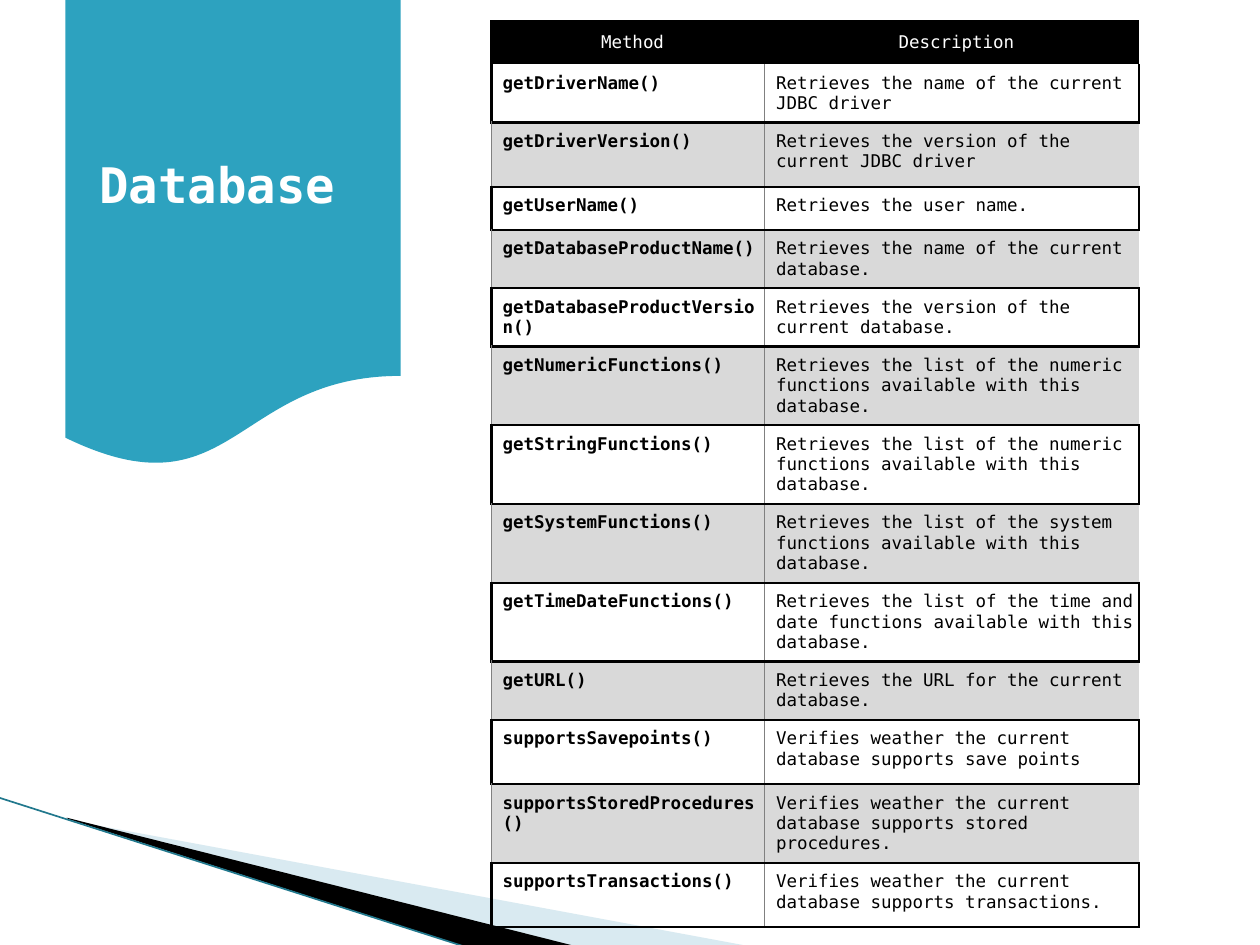
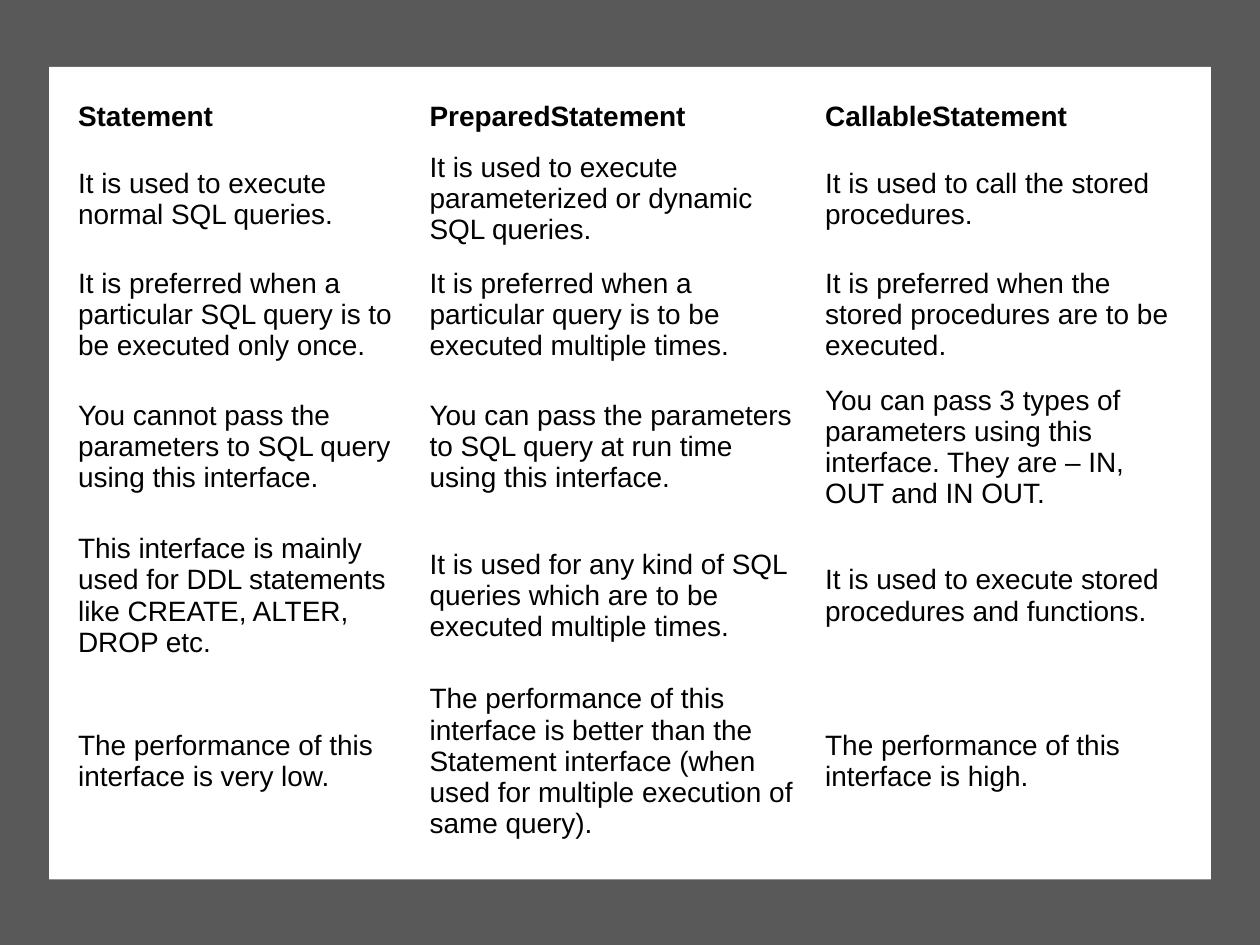
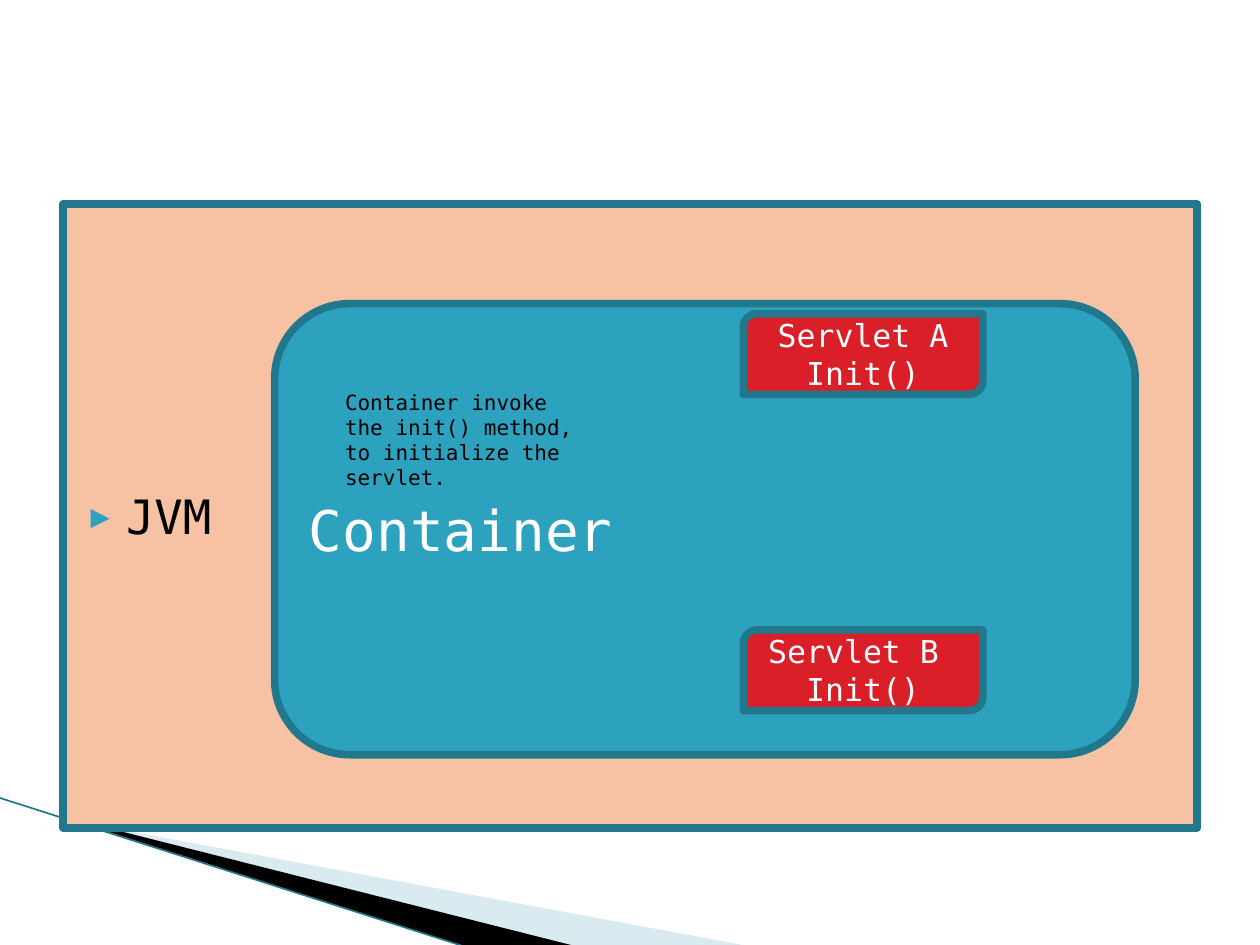
from dataclasses import dataclass

from lxml import etree
from pptx import Presentation
from pptx.dml.color import RGBColor
from pptx.enum.shapes import MSO_CONNECTOR, MSO_SHAPE
from pptx.enum.text import MSO_ANCHOR, MSO_AUTO_SIZE, PP_ALIGN
from pptx.oxml.ns import qn
from pptx.util import Inches, Pt

TOP, MIDDLE = MSO_ANCHOR.TOP, MSO_ANCHOR.MIDDLE
LEFT, CENTER = PP_ALIGN.LEFT, PP_ALIGN.CENTER
FIXED_SIZE, GROW = MSO_AUTO_SIZE.NONE, MSO_AUTO_SIZE.SHAPE_TO_FIT_TEXT
STRAIGHT = MSO_CONNECTOR.STRAIGHT
RECTANGLE, ROUNDED = MSO_SHAPE.RECTANGLE, MSO_SHAPE.ROUNDED_RECTANGLE
DIAGONAL, WAVE = MSO_SHAPE.ROUND_2_DIAG_RECTANGLE, MSO_SHAPE.FLOWCHART_DOCUMENT
CONTENT_LAYOUT, TITLE_LAYOUT, BLANK_LAYOUT = 1, 5, 6
NO_TABLE_STYLE = "{2D5ABB26-0587-4C30-8999-92F81FD0307C}"


@dataclass(frozen=True)
class Theme:
    # Colours
    black: str = "000000"
    white: str = "FFFFFF"
    teal: str = "2DA2BF"
    dark_teal: str = "21788D"
    pale_blue: str = "A0CBDC"
    peach: str = "F7C1A4"
    red: str = "DA1F28"
    dark_gray: str = "595959"
    band_gray: str = "D9D9D9"
    rule_gray: str = "808080"
    # Fonts and type sizes
    mono: str = "DejaVu Sans Mono"
    sans: str = "Arial"
    title: int = 28
    container: int = 32
    body: int = 27
    label: int = 18
    comparison: int = 16
    note: int = 12
    method: int = 10
    # Line widths
    outline: float = 4.33
    thick: float = 1.5
    thin: float = 0.5
    accent: float = 0.95


THEME = Theme()


def color(value):
    return RGBColor.from_string(value)


def box(left, top, width, height):
    return [Inches(value) for value in (left, top, width, height)]


def write(frame, text, *, size, ink=THEME.black, font=THEME.mono, bold=False,
          align=LEFT, anchor=TOP):
    """Write one paragraph per line of text and return the paragraphs."""
    frame.text = text
    frame.word_wrap = True
    frame.vertical_anchor = anchor
    for paragraph in frame.paragraphs:
        paragraph.alignment = align
        for run in paragraph.runs:
            run.font.name, run.font.size, run.font.bold = font, Pt(size), bold
            run.font.color.rgb = color(ink)
    return frame.paragraphs


def add_bullet(paragraph, character, ink, percent, left, hanging):
    properties = paragraph._p.get_or_add_pPr()
    properties.set("marL", str(Inches(left)))
    properties.set("indent", str(-Inches(hanging)))
    holder = etree.SubElement(properties, qn("a:buClr"))
    etree.SubElement(holder, qn("a:srgbClr"), val=ink)
    etree.SubElement(properties, qn("a:buSzPct"), val=str(percent * 1000))
    etree.SubElement(properties, qn("a:buFont"), typeface=THEME.mono)
    etree.SubElement(properties, qn("a:buChar"), char=character)


def set_borders(cell, borders):
    """Borders map L, R, T, B to (colour, width); they precede the cell fill."""
    properties = cell._tc.get_or_add_tcPr()
    sides = [side for side in "LRTB" if side in borders]
    for position, side in enumerate(sides):
        ink, width = borders[side]
        line = etree.Element(qn(f"a:ln{side}"), w=str(Pt(width)))
        fill = etree.SubElement(line, qn("a:solidFill"))
        etree.SubElement(fill, qn("a:srgbClr"), val=ink)
        properties.insert(position, line)


class Deck:
    def __init__(self, theme):
        self.theme = theme
        self.presentation = Presentation()
        self.presentation.slide_width = Inches(10)
        self.presentation.slide_height = Inches(7.5)
        self.slide = None

    def new_slide(self, layout):
        layouts = self.presentation.slide_layouts
        self.slide = self.presentation.slides.add_slide(layouts[layout])

    def paint(self, shape, fill, outline=None):
        shape.fill.solid()
        shape.fill.fore_color.rgb = color(fill)
        if outline:
            shape.line.color.rgb = color(outline)
            shape.line.width = Pt(self.theme.outline)
        else:
            shape.line.fill.background()

    def shape(self, kind, place, fill, outline=None):
        shape = self.slide.shapes.add_shape(kind, *box(*place))
        shape.shadow.inherit = False
        self.paint(shape, fill, outline)
        return shape

    def polygon(self, points, fill, opacity=None):
        start, *others = [(Inches(x), Inches(y)) for x, y in points]
        builder = self.slide.shapes.build_freeform(*start)
        builder.add_line_segments(others)
        shape = builder.convert_to_shape()
        shape.shadow.inherit = False
        self.paint(shape, fill)
        if opacity:
            solid = shape.element.spPr.find(qn("a:solidFill"))
            etree.SubElement(solid[0], qn("a:alpha"), val=str(opacity * 1000))
        return shape

    def line(self, start, end, ink, width):
        ends = [Inches(value) for value in (*start, *end)]
        connector = self.slide.shapes.add_connector(STRAIGHT, *ends)
        connector.line.color.rgb = color(ink)
        connector.line.width = Pt(width)
        etree.SubElement(connector.element.spPr, qn("a:effectLst"))
        return connector

    def move_to_master(self, shapes):
        tree = self.presentation.slide_master.shapes.element
        for number, shape in enumerate(shapes):
            shape.element.xpath(".//p:cNvPr")[0].set("id", str(100 + number))
            tree.insert(2 + number, shape.element)

    def place(self, placeholder, place):
        (placeholder.left, placeholder.top,
         placeholder.width, placeholder.height) = box(*place)
        placeholder.text_frame.auto_size = FIXED_SIZE
        return placeholder

    def title(self, text, place):
        title = self.place(self.slide.shapes.title, place)
        paragraph, = write(title.text_frame, text, size=self.theme.title,
                           ink=self.theme.white, bold=True, anchor=MIDDLE)
        paragraph.line_spacing = 0.9

    def body(self, text, place, fill, outline):
        body = self.place(self.slide.placeholders[1], place)
        self.paint(body, fill, outline)
        paragraph, = write(body.text_frame, text, size=self.theme.body, anchor=MIDDLE)
        paragraph.space_before = Pt(4)
        add_bullet(paragraph, "▶", self.theme.teal, 68, left=0.4, hanging=0.28)

    def note(self, text, place):
        frame = self.slide.shapes.add_textbox(*box(*place)).text_frame
        write(frame, text, size=self.theme.note)
        frame.auto_size = GROW

    def table(self, rows, place, widths, heights, margins, cell_format):
        """cell_format(row, column) gives text format, fill and borders."""
        frame = self.slide.shapes.add_table(len(rows), len(widths), *box(*place))
        table = frame.table
        table.first_row = table.horz_banding = False
        table._tbl.tblPr.find(qn("a:tableStyleId")).text = NO_TABLE_STYLE
        for column, width in zip(table.columns, widths):
            column.width = Inches(width)
        for row, height in zip(table.rows, heights):
            row.height = Inches(height)
        for row, texts in enumerate(rows):
            for column, text in enumerate(texts):
                cell = table.cell(row, column)
                style, fill, borders = cell_format(row, column)
                anchor = style.pop("anchor", TOP)
                write(cell.text_frame, text, **style)
                cell.vertical_anchor = anchor
                (cell.margin_left, cell.margin_top,
                 cell.margin_right, cell.margin_bottom) = box(*margins)
                if fill:
                    cell.fill.solid()
                    cell.fill.fore_color.rgb = color(fill)
                else:
                    cell.fill.background()
                set_borders(cell, borders)


def method_format(row, column):
    """Black header, then white framed rows alternating with gray bands."""
    thick = (THEME.black, THEME.thick)
    thin = (THEME.rule_gray, THEME.thin)
    first = column == 0
    style = dict(size=THEME.method, bold=first and row > 0)
    if row == 0:
        style.update(ink=THEME.white, align=CENTER, anchor=MIDDLE)
        fill, borders = THEME.black, {"L": thick, "T": thick}
        if first:
            borders["R"] = thick
    elif row % 2:
        fill = None
        borders = {"L": thick if first else thin,
                   "R": thin if first else thick, "B": thick}
    else:
        fill, borders = THEME.band_gray, {"L": thin, "T": thick}
        if first:
            borders["R"] = thin
    return style, fill, borders


def comparison_format(row, column):
    style = dict(size=THEME.comparison, font=THEME.sans, bold=row == 0, anchor=MIDDLE)
    return style, None, {}


FUNCTION_LIST = "Retrieves the list of the {} functions available with this database."
METHODS = [
    ("Method", "Description"),
    ("getDriverName()", "Retrieves the name of the current JDBC driver"),
    ("getDriverVersion()", "Retrieves the version of the current JDBC driver"),
    ("getUserName()", "Retrieves the user name."),
    ("getDatabaseProductName()", "Retrieves the name of the current database."),
    ("getDatabaseProductVersion()", "Retrieves the version of the current database."),
    ("getNumericFunctions()", FUNCTION_LIST.format("numeric")),
    ("getStringFunctions()", FUNCTION_LIST.format("numeric")),
    ("getSystemFunctions()", FUNCTION_LIST.format("system")),
    ("getTimeDateFunctions()", FUNCTION_LIST.format("time and date")),
    ("getURL()", "Retrieves the URL for the current database."),
    ("supportsSavepoints()", "Verifies weather the current database supports save points"),
    ("supportsStoredProcedures()",
     "Verifies weather the current database supports stored procedures."),
    ("supportsTransactions()",
     "Verifies weather the current database supports transactions."),
]
SHORT, TALL = 0.34, 0.51
METHOD_HEIGHTS = [SHORT, SHORT, TALL, *[SHORT] * 3, *[TALL] * 4, SHORT, *[TALL] * 3]

STATEMENTS = [
    ("Statement", "PreparedStatement", "CallableStatement"),
    ("It is used to execute normal SQL queries.",
     "It is used to execute parameterized or dynamic SQL queries.",
     "It is used to call the stored procedures."),
    ("It is preferred when a particular SQL query is to be executed only once.",
     "It is preferred when a particular query is to be executed multiple times.",
     "It is preferred when the stored procedures are to be executed."),
    ("You cannot pass the parameters to SQL query using this interface.",
     "You can pass the parameters to SQL query at run time using this interface.",
     "You can pass 3 types of parameters using this interface. "
     "They are – IN, OUT and IN OUT."),
    ("This interface is mainly used for DDL statements like CREATE, ALTER, DROP etc.",
     "It is used for any kind\u00a0of\u00a0SQL queries\u00a0which are\u00a0to be "
     "executed multiple times.",
     "It is used to execute stored procedures and functions."),
    ("The performance of this interface is very low.",
     "The performance of this interface is better than the Statement interface "
     "(when used for multiple execution of same query).",
     "The performance of this interface is high."),
]

deck = Deck(THEME)

# Slide 1: database methods
deck.new_slide(TITLE_LAYOUT)

# Swoosh shared by every slide, kept on the master
deck.move_to_master([
    deck.polygon([(0.55, 6.51), (5.95, 7.51), (4.56, 7.51), (0.55, 6.5)],
                 THEME.pale_blue, opacity=40),
    deck.polygon([(0.53, 6.49), (4.57, 7.51), (3.72, 7.52), (0.54, 6.5)], THEME.black),
    deck.line((-0.01, 6.33), (3.71, 7.52), THEME.dark_teal, THEME.accent),
])

banner = deck.shape(WAVE, (0.52, 0, 2.66, 3.72), THEME.teal)
title_element = deck.slide.shapes.title.element
title_element.addprevious(banner.element)  # the title lies on the banner
deck.title("Database", (0.69, 0.19, 2.33, 2.59))
deck.table(METHODS, (3.9, 0.17, 5.14, 6.65), [2.17, 2.97], METHOD_HEIGHTS,
           (0.09, 0.07, 0.02, 0.07), method_format)

# Slide 2: comparison of statements
deck.new_slide(BLANK_LAYOUT)
deck.shape(RECTANGLE, (0, 0, 10, 7.5), THEME.dark_gray)
deck.shape(RECTANGLE, (0.39, 0.53, 9.22, 6.45), THEME.white)
deck.table(STATEMENTS, (0.53, 0.73, 8.94, 6.04), [2.79, 3.14, 3.01],
           [0.39, 0.92, 0.92, 1.18, 1.18, 1.45],
           (0.09, 0.04, 0.09, 0.04), comparison_format)

# Slide 3: servlets in their container
deck.new_slide(CONTENT_LAYOUT)
unused_title = deck.slide.shapes.title.element
unused_title.getparent().remove(unused_title)
deck.body("JVM", (0.5, 1.62, 9, 4.95), THEME.peach, THEME.dark_teal)
container = deck.shape(ROUNDED, (2.18, 2.41, 6.83, 3.58), THEME.teal, THEME.dark_teal)
write(container.text_frame, "Container", size=THEME.container, ink=THEME.white,
      anchor=MIDDLE)
deck.note("Container invoke the init() method, to initialize the servlet.",
          (2.64, 3.04, 2.16, 0.71))
for label, top in (("Servlet A\nInit()", 2.49), ("Servlet B \nInit()", 5)):
    servlet = deck.shape(DIAGONAL, (5.9, top, 1.9, 0.64), THEME.red, THEME.dark_teal)
    write(servlet.text_frame, label, size=THEME.label, ink=THEME.white,
          align=CENTER, anchor=MIDDLE)

deck.presentation.save("out.pptx")
